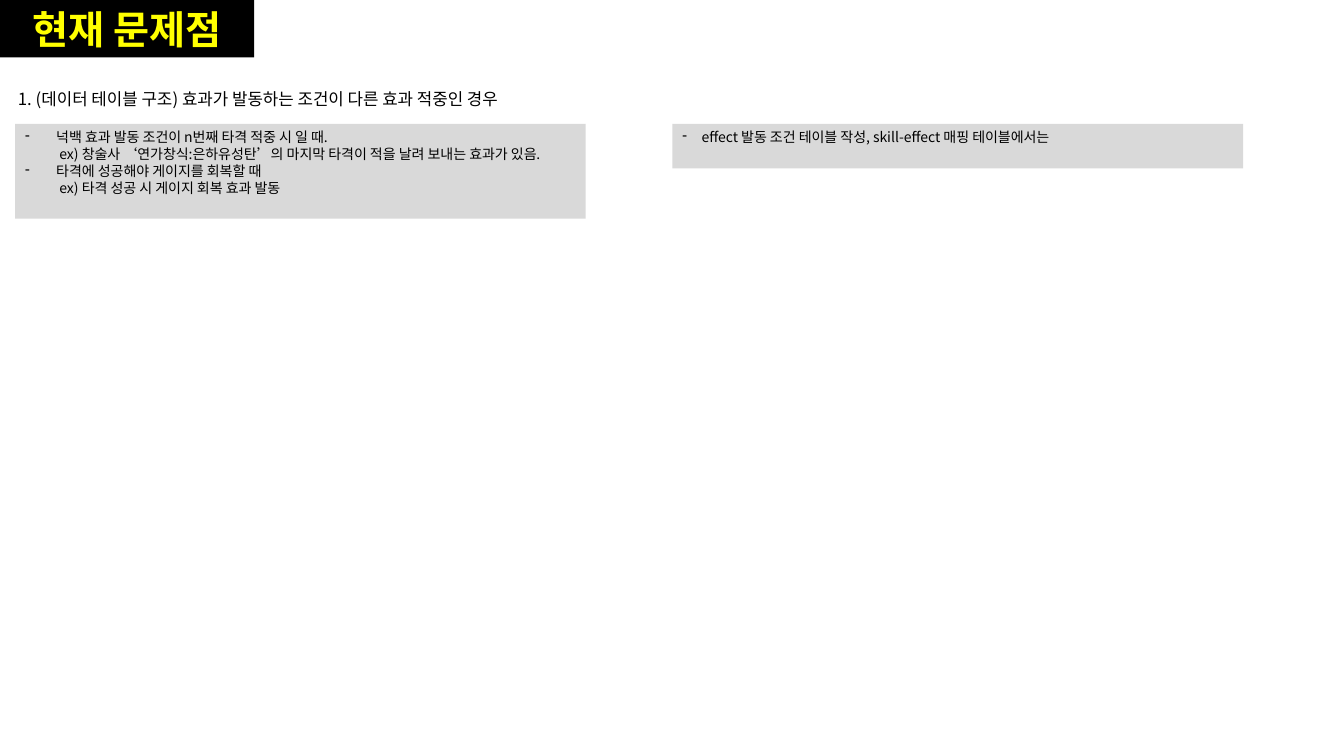
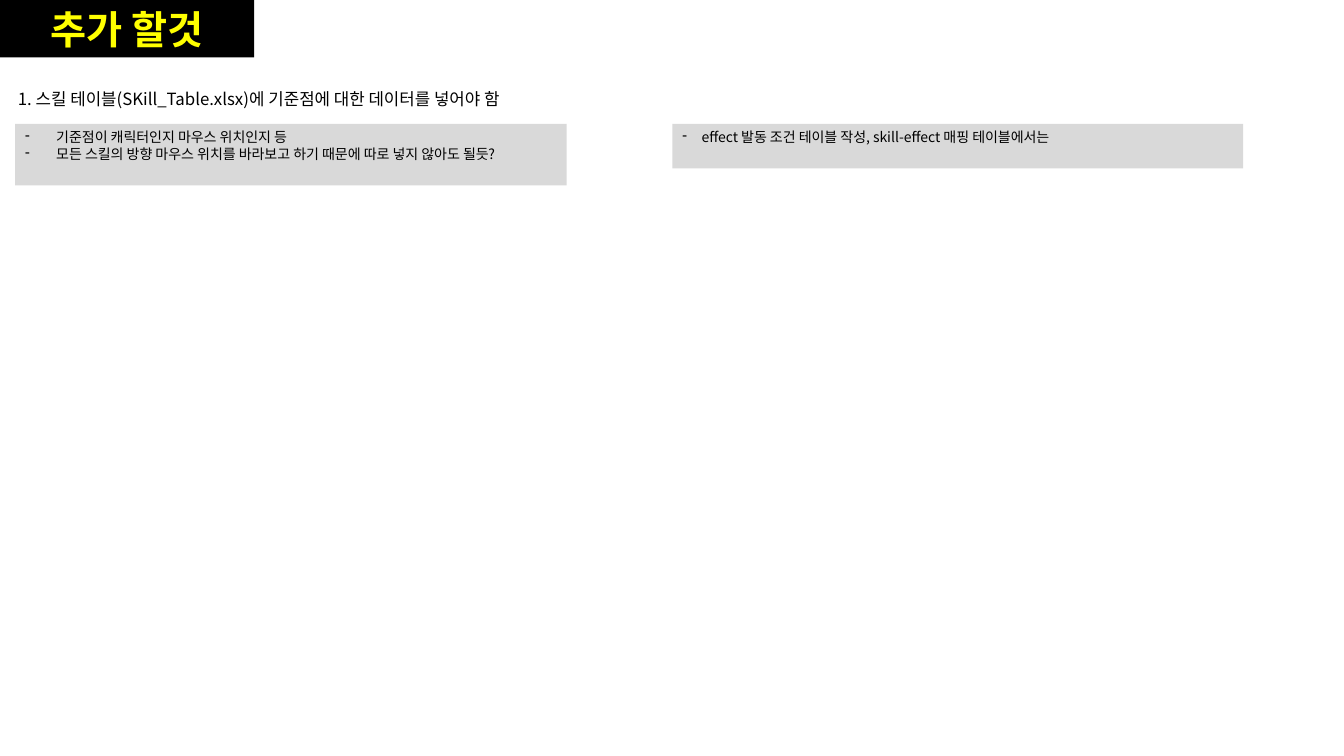
from dataclasses import dataclass

from lxml.etree import SubElement
from pptx import Presentation
from pptx.dml.color import RGBColor
from pptx.enum.shapes import MSO_SHAPE
from pptx.enum.text import MSO_ANCHOR, PP_ALIGN
from pptx.oxml.ns import qn
from pptx.util import Inches, Pt

BLACK = RGBColor(0x00, 0x00, 0x00)
YELLOW = RGBColor(0xFF, 0xFF, 0x00)
GREY = RGBColor(0xD9, 0xD9, 0xD9)
FONT = "Noto Sans CJK KR"
PANEL_TOP = 1.23


@dataclass(frozen=True)
class Panel:
    left: float
    width: float
    height: float
    indent: float
    items: tuple[str, ...]  # "\v" breaks a line within an item


@dataclass(frozen=True)
class Topic:
    title: str
    heading: str
    problem: Panel


SOLUTION = Panel(6.67, 5.66, 0.44, 0.19, (
    "effect 발동 조건 테이블 작성, skill-effect 매핑 테이블에서는",
))

TOPICS = (
    Topic(
        "현재 문제점",
        "1. (데이터 테이블 구조) 효과가 발동하는 조건이 다른 효과 적중인 경우",
        Panel(0.15, 5.66, 0.94, 0.31, (
            "넉백 효과 발동 조건이 n번째 타격 적중 시 일 때.\v"
            " ex) 창술사 ‘연가창식:은하유성탄’의 마지막 타격이 적을 날려 보내는 효과가 있음.",
            "타격에 성공해야 게이지를 회복할 때\v ex) 타격 성공 시 게이지 회복 효과 발동",
        )),
    ),
    Topic(
        "추가 할것",
        "1. 스킬 테이블(SKill_Table.xlsx)에 기준점에 대한 데이터를 넣어야 함",
        Panel(0.15, 5.47, 0.61, 0.31, (
            "기준점이 캐릭터인지 마우스 위치인지 등",
            "모든 스킬의 방향 마우스 위치를 바라보고 하기 때문에 따로 넣지 않아도 될듯?",
        )),
    ),
)


def style_paragraph(para, size: int, color: RGBColor, bold: bool = False) -> None:
    """Set the font, for Korean text too, on all runs of a paragraph."""
    para.font.size = Pt(size)
    para.font.bold = bold
    para.font.color.rgb = color
    para.font.name = FONT
    for span in para.runs:
        span.font.name = FONT
        SubElement(span.font._element, qn("a:ea"), typeface=FONT)


def add_bullet(para, indent: float) -> None:
    properties = para._p.get_or_add_pPr()
    properties.set("marL", str(Inches(indent)))
    properties.set("indent", str(-Inches(indent)))
    dash = SubElement(properties, qn("a:buChar"), char="-")
    properties.insert(0, dash)


def add_block(page, left: float, top: float, width: float, height: float,
              fill: RGBColor):
    """Add a plain filled rectangle and return its text frame."""
    box = page.shapes.add_shape(MSO_SHAPE.RECTANGLE, Inches(left), Inches(top),
                                Inches(width), Inches(height))
    box.shadow.inherit = False
    box.fill.solid()
    box.fill.fore_color.rgb = fill
    box.line.fill.background()
    box.text_frame.word_wrap = True
    return box.text_frame


def add_title(page, title: str) -> None:
    frame = add_block(page, 0, 0, 2.52, 0.57, BLACK)
    frame.vertical_anchor = MSO_ANCHOR.MIDDLE
    para = frame.paragraphs[0]
    para.text = title
    para.alignment = PP_ALIGN.CENTER
    style_paragraph(para, 28, YELLOW, bold=True)


def add_heading(page, heading: str) -> None:
    box = page.shapes.add_textbox(Inches(0.08), Inches(0.83),
                                  Inches(5.57), Inches(0.3))
    box.text_frame.word_wrap = True
    para = box.text_frame.paragraphs[0]
    para.text = heading
    style_paragraph(para, 12, BLACK)


def add_panel(page, panel: Panel) -> None:
    frame = add_block(page, panel.left, PANEL_TOP, panel.width, panel.height, GREY)
    frame.vertical_anchor = MSO_ANCHOR.TOP
    frame.text = "\n".join(panel.items)
    for para in frame.paragraphs:
        para.alignment = PP_ALIGN.LEFT
        style_paragraph(para, 10, BLACK)
        add_bullet(para, panel.indent)


def main() -> None:
    deck = Presentation()
    deck.slide_width, deck.slide_height = Inches(13.33), Inches(7.5)
    for topic in TOPICS:
        page = deck.slides.add_slide(deck.slide_layouts[6])
        add_title(page, topic.title)
        add_heading(page, topic.heading)
        for panel in (topic.problem, SOLUTION):
            add_panel(page, panel)
    deck.save("out.pptx")


if __name__ == "__main__":
    main()
